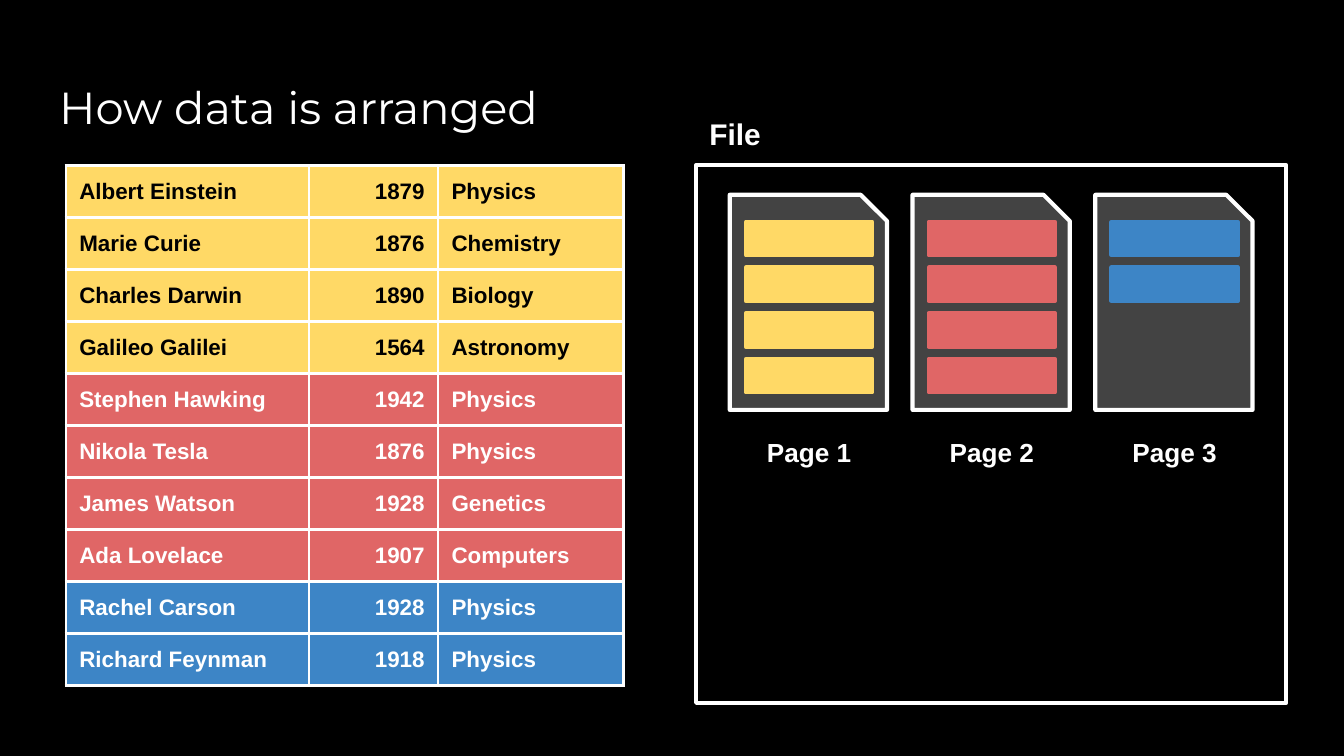
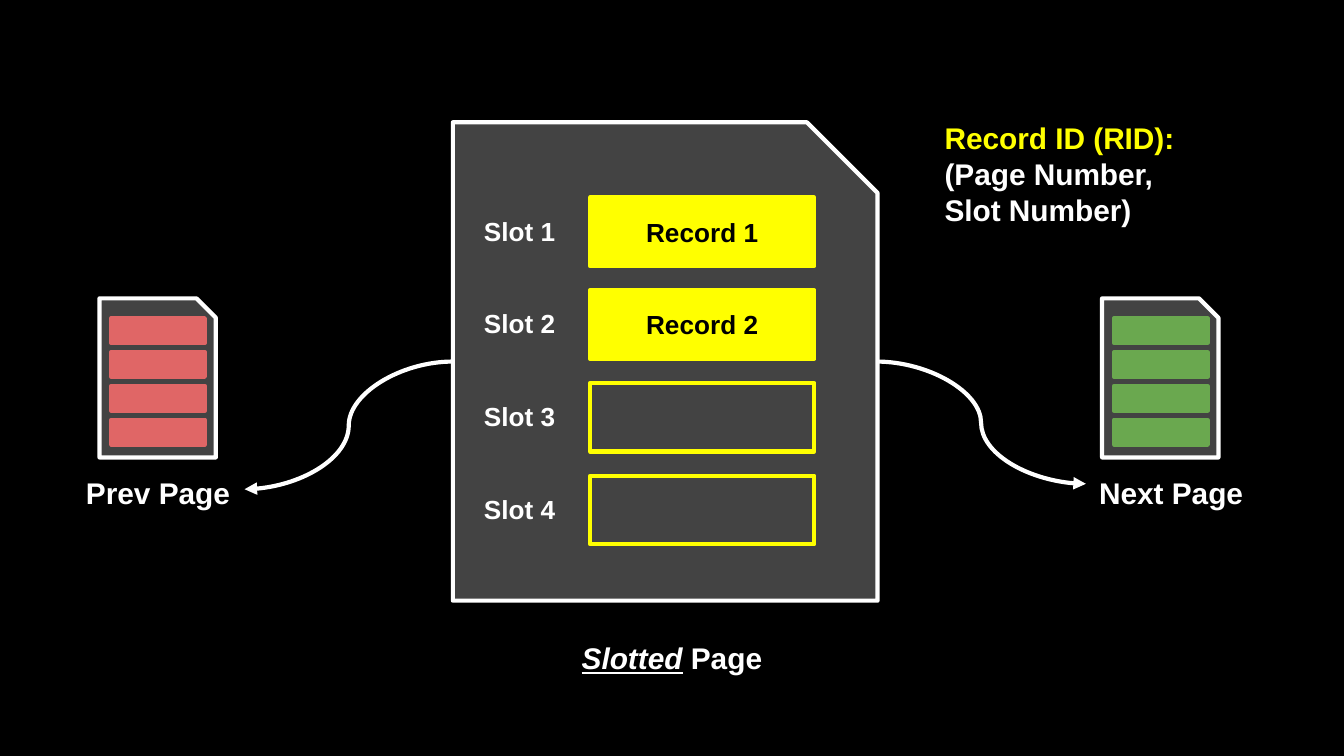
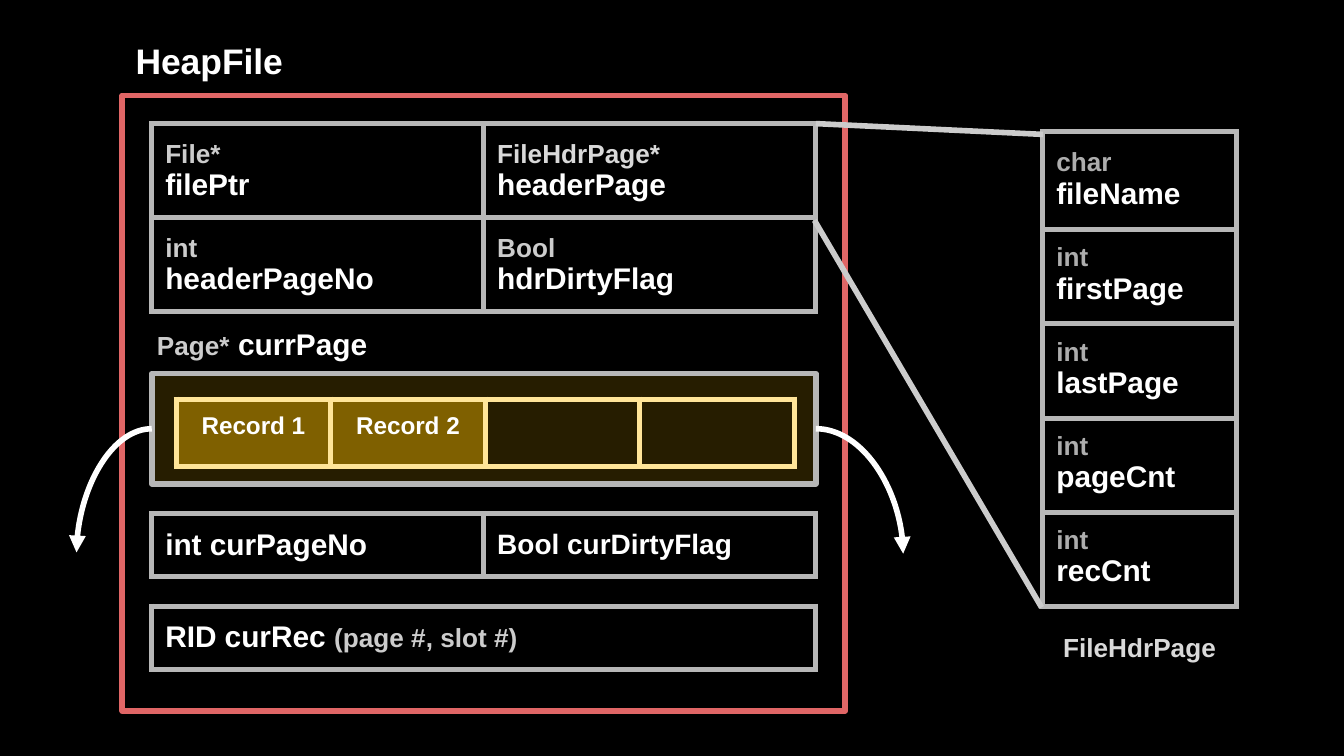
from copy import deepcopy
from dataclasses import dataclass

from lxml.etree import SubElement
from pptx import Presentation
from pptx.dml.color import RGBColor
from pptx.enum.shapes import MSO_CONNECTOR as Link, MSO_SHAPE as Kind
from pptx.enum.text import MSO_ANCHOR as Anchor, MSO_AUTO_SIZE as Fit, PP_ALIGN as Align
from pptx.oxml.ns import qn
from pptx.shapes.autoshape import Shape
from pptx.slide import Slide
from pptx.table import Table
from pptx.text.text import TextFrame
from pptx.util import Inches, Pt

HUES = {
    "black": "000000", "white": "FFFFFF", "page": "434343",
    "gold": "FFD966", "red": "E06666", "blue": "3D85C6", "green": "6AA84F",
    "yellow": "FFFF00", "edge": "B7B7B7", "pale": "CCCCCC", "light": "D9D9D9",
    "dim": "ADADAD", "umber": "261D00", "bronze": "7F6000", "cream": "FFE599",
}
PAD = Inches(0.1)


@dataclass
class Page:
    left: float
    top: float
    tint: str
    count: int = 4
    scale: float = 1


@dataclass
class Group:
    tint: str
    ink: str
    rows: list[tuple[str, str, str]]


@dataclass
class Field:
    kind: str
    name: str
    tint: str


GROUPS = [
    Group("gold", "black", [
        ("Albert Einstein", "1879", "Physics"),
        ("Marie Curie", "1876", "Chemistry"),
        ("Charles Darwin", "1890", "Biology"),
        ("Galileo Galilei", "1564", "Astronomy"),
    ]),
    Group("red", "white", [
        ("Stephen Hawking", "1942", "Physics"),
        ("Nikola Tesla", "1876", "Physics"),
        ("James Watson", "1928", "Genetics"),
        ("Ada Lovelace", "1907", "Computers"),
    ]),
    Group("blue", "white", [
        ("Rachel Carson", "1928", "Physics"),
        ("Richard Feynman", "1918", "Physics"),
    ]),
]
HEAP = [
    Field("File*", "filePtr", "pale"),
    Field("FileHdrPage*", "headerPage", "light"),
    Field("int", "headerPageNo", "pale"),
    Field("Bool", "hdrDirtyFlag", "pale"),
]
HEADER = [
    Field("char", "fileName", "dim"),
    Field("int", "firstPage", "dim"),
    Field("int", "lastPage", "dim"),
    Field("int", "pageCnt", "dim"),
    Field("int", "recCnt", "dim"),
]


def color(name: str) -> RGBColor:
    return RGBColor.from_string(HUES[name])


def write(frame: TextFrame, text: str, *, size: float = 14, tint: str = "white",
          face: str = "Arial", bold: bool = True, italic: bool = False,
          under: bool = False, align: Align = Align.LEFT, new: bool = False) -> None:
    """Append a run to the last paragraph, or to a new one."""
    para = frame.add_paragraph() if new else frame.paragraphs[-1]
    para.alignment = align
    run = para.add_run()
    run.text = text
    font = run.font
    font.name, font.size = face, Pt(size)
    font.bold, font.italic, font.underline = bold, italic, under
    font.color.rgb = color(tint)


def wrap(frame: TextFrame) -> None:
    """End the line with a break as tall as the last run."""
    para = frame.paragraphs[-1]
    props = para.runs[-1]._r.rPr
    para.add_line_break()
    para._p.findall(qn("a:br"))[-1].append(deepcopy(props))


def inset(frame: TextFrame) -> None:
    frame.margin_left = frame.margin_right = PAD
    frame.margin_top = frame.margin_bottom = PAD
    frame.word_wrap = True


def label(slide: Slide, left: float, top: float, width: float, height: float,
          text: str = "", **style) -> TextFrame:
    box = slide.shapes.add_textbox(Inches(left), Inches(top), Inches(width), Inches(height))
    frame = box.text_frame
    inset(frame)
    frame.auto_size = Fit.SHAPE_TO_FIT_TEXT
    if text:
        write(frame, text, **style)
    return frame


def block(slide: Slide, left: float, top: float, width: float, height: float,
          fill: str, line: str, weight: float = 2.25, kind: Kind = Kind.RECTANGLE) -> Shape:
    shape = slide.shapes.add_shape(kind, Inches(left), Inches(top), Inches(width), Inches(height))
    shape.shadow.inherit = False
    shape.fill.solid()
    shape.fill.fore_color.rgb = color(fill)
    shape.line.color.rgb = color(line)
    shape.line.width = Pt(weight)
    return shape


def sheet(slide: Slide, left: float, top: float, width: float, height: float) -> None:
    """Draw a page outline with its top right corner cut."""
    block(slide, left, top, width, height, "page", "white", kind=Kind.SNIP_1_RECTANGLE)


def draw(slide: Slide, page: Page) -> None:
    """Draw a small page with its records as bars."""
    size = page.scale
    sheet(slide, page.left, page.top, 1.17 * size, 1.6 * size)
    for row in range(page.count):
        block(slide, page.left + 0.12 * size, page.top + (0.2 + 0.34 * row) * size,
              0.94 * size, 0.25 * size, page.tint, page.tint)


def wire(slide: Slide, start: tuple[float, float], end: tuple[float, float],
         shape: str = "line", tint: str = "white", weight: float = 3) -> None:
    """Draw a plain line, or a curve with an arrowhead."""
    link = Link.STRAIGHT if shape == "line" else Link.CURVE
    cord = slide.shapes.add_connector(link, *(Inches(part) for part in start + end))
    cord.line.color.rgb = color(tint)
    cord.line.width = Pt(weight)
    props = cord._element.spPr
    if link == Link.CURVE:
        props.find(qn("a:prstGeom")).set("prst", shape)
        SubElement(props.find(qn("a:ln")), qn("a:tailEnd")).set("type", "triangle")
    SubElement(props, qn("a:effectLst"))


def grid(slide: Slide, left: float, top: float, cols: list[float], rows: list[float],
         line: str, weight: float = 3, anchor: Anchor = Anchor.TOP) -> Table:
    """Add an unfilled table with the same border on every cell."""
    table = slide.shapes.add_table(len(rows), len(cols), Inches(left), Inches(top),
                                   Inches(sum(cols)), Inches(sum(rows))).table
    table.first_row = table.horz_banding = False
    for col, width in zip(table.columns, cols):
        col.width = Inches(width)
    for row, height in zip(table.rows, rows):
        row.height = Inches(height)
    for cell in table.iter_cells():
        cell.margin_left = cell.margin_right = PAD
        cell.margin_top = cell.margin_bottom = PAD
        cell.vertical_anchor = anchor
        cell.fill.background()
        props = cell._tc.get_or_add_tcPr()
        for spot, side in enumerate(("lnL", "lnR", "lnT", "lnB")):
            edge = SubElement(props, qn(f"a:{side}"), w=str(Pt(weight)))
            fill = SubElement(edge, qn("a:solidFill"))
            SubElement(fill, qn("a:srgbClr"), val=HUES[line])
            props.insert(spot, edge)
    return table


def enter(table: Table, fields: list[Field]) -> None:
    """Fill the cells with a type above a name."""
    for cell, field in zip(table.iter_cells(), fields):
        write(cell.text_frame, field.kind, tint=field.tint)
        wrap(cell.text_frame)
        write(cell.text_frame, field.name, size=16)


def data(slide: Slide) -> None:
    title = slide.shapes.title
    title.left, title.top = Inches(0.34), Inches(0.49)
    title.width, title.height = Inches(9.32), Inches(0.63)
    frame = title.text_frame
    inset(frame)
    frame.auto_size = Fit.NONE
    frame.vertical_anchor = Anchor.TOP
    write(frame, "How data is arranged", size=24, face="Montserrat", bold=False)

    rows = [(group, row) for group in GROUPS for row in group.rows]
    table = grid(slide, 0.49, 1.23, [1.81, 0.96, 1.38], [0.36] * len(rows), "white", 1.5)
    for line, (group, row) in enumerate(rows):
        for col, text in enumerate(row):
            cell = table.cell(line, col)
            cell.fill.solid()
            cell.fill.fore_color.rgb = color(group.tint)
            write(cell.text_frame, text, size=12, tint=group.ink,
                  align=Align.RIGHT if col == 1 else Align.LEFT)

    block(slide, 5.18, 1.23, 4.39, 4, "black", "white")
    label(slide, 5.18, 0.76, 3.28, 0.47, "File", size=16)
    for spot, group in enumerate(GROUPS):
        left = 5.43 + 1.36 * spot
        draw(slide, Page(left, 1.45, group.tint, len(group.rows)))
        label(slide, left + 0.12, 3.15, 0.94, 0.44, f"Page {spot + 1}", align=Align.CENTER)


def slots(slide: Slide) -> None:
    sheet(slide, 3.37, 0.91, 3.16, 3.56)
    frame = label(slide, 3.93, 4.66, 2.14, 0.47)
    write(frame, "Slotted", size=16, italic=True, under=True, align=Align.CENTER)
    write(frame, " Page", size=16, align=Align.CENTER)

    for spot in range(4):
        top = 1.47 + 0.69 * spot
        full = spot < 2
        record = block(slide, 4.39, top, 1.67, 0.51, "yellow" if full else "page", "yellow")
        if full:
            inset(record.text_frame)
            record.text_frame.vertical_anchor = Anchor.MIDDLE
            write(record.text_frame, f"Record {spot + 1}", tint="black", align=Align.CENTER)
        label(slide, 3.31, top + 0.03, 0.92, 0.44, f"Slot {spot + 1}", align=Align.RIGHT)

    wire(slide, (6.52, 2.69), (8.08, 3.6), "curvedConnector3", weight=2.25)
    wire(slide, (3.37, 2.69), (1.82, 3.64), "curvedConnector3", weight=2.25)
    label(slide, 8.08, 3.43, 1.44, 0.47, "Next Page", size=16)
    label(slide, 0.37, 3.43, 1.44, 0.47, "Prev Page", size=16, align=Align.RIGHT)
    frame = label(slide, 6.93, 0.79, 2.14, 1.01, "Record ID (RID):", size=16, tint="yellow")
    write(frame, "(Page Number, Slot Number)", size=16, new=True)
    for page in (Page(0.74, 2.22, "red", scale=0.74), Page(8.2, 2.22, "green", scale=0.74)):
        draw(slide, page)


def heap(slide: Slide) -> None:
    left, half = 1.13, [2.47, 2.47]
    block(slide, 0.91, 0.71, 5.38, 4.58, "black", "red", 3)
    enter(grid(slide, left, 0.92, half, [0.7, 0.7], "edge", anchor=Anchor.MIDDLE), HEAP)

    block(slide, left, 2.78, sum(half), 0.82, "umber", "edge", 3)
    frame = label(slide, 1.07, 2.32, 1.84, 0.47, "Page*", tint="pale")
    write(frame, " currPage", size=16)
    table = grid(slide, 1.31, 2.97, [1.15] * 4, [0.5], "cream")
    for spot, cell in enumerate(table.iter_cells()):
        if spot < 2:
            cell.fill.solid()
            cell.fill.fore_color.rgb = color("bronze")
            write(cell.text_frame, f"Record {spot + 1}", size=13, align=Align.CENTER)
        else:
            cell.margin_top = 0
    wire(slide, (6.07, 3.19), (6.72, 4.12), "curvedConnector2")
    wire(slide, (left, 3.19), (0.57, 4.11), "curvedConnector2")

    table = grid(slide, left, 3.82, half, [0.47], "edge", anchor=Anchor.MIDDLE)
    write(table.cell(0, 0).text_frame, "int curPageNo", size=16)
    write(table.cell(0, 1).text_frame, "Bool curDirtyFlag", size=15)
    table = grid(slide, left, 4.51, half, [0.47], "edge", anchor=Anchor.MIDDLE)
    cell = table.cell(0, 0)
    cell.merge(table.cell(0, 1))
    write(cell.text_frame, "RID curRec ", size=16)
    write(cell.text_frame, "(page #, slot #)", tint="pale")

    label(slide, 0.91, 0.19, 3.28, 0.52, "HeapFile", size=19)
    table = grid(slide, 7.76, 0.98, [1.44], [0.73] + [0.7] * 4, "edge")
    enter(table, HEADER)
    table.cell(0, 0).margin_top = Inches(0.12)
    wire(slide, (6.07, 0.92), (7.76, 1), tint="pale")
    wire(slide, (6.06, 1.64), (7.75, 4.52), tint="pale")
    label(slide, 7.4, 4.6, 2.16, 0.44, "FileHdrPage", tint="light", align=Align.CENTER)


def main() -> None:
    deck = Presentation()
    deck.slide_width = Inches(10)
    deck.slide_height = deck.slide_width * 9 // 16
    back = deck.slide_master.background.fill
    back.solid()
    back.fore_color.rgb = color("black")
    titled, blank = deck.slide_layouts[5], deck.slide_layouts[6]
    for layout, build in ((titled, data), (blank, slots), (blank, heap)):
        build(deck.slides.add_slide(layout))
    deck.save("out.pptx")


if __name__ == "__main__":
    main()
